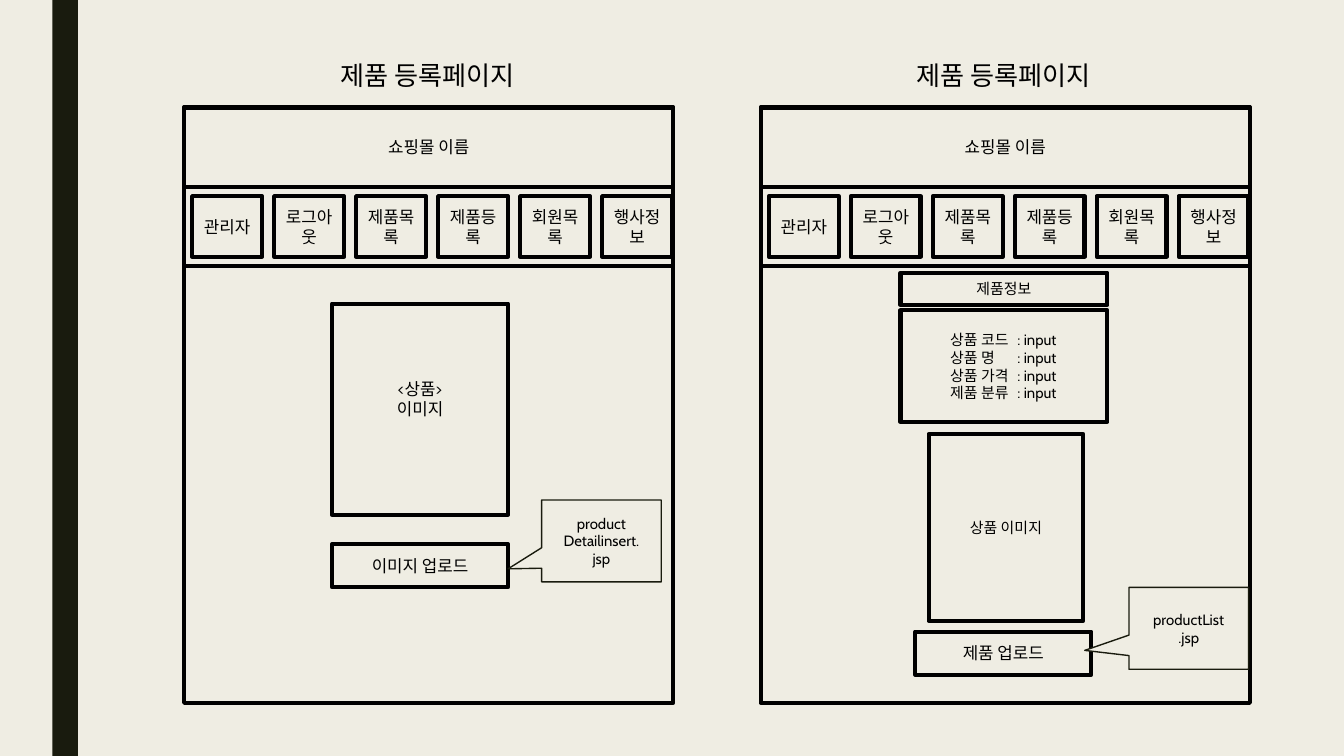
from pptx import Presentation
from pptx.dml.color import RGBColor
from pptx.enum.shapes import MSO_SHAPE
from pptx.enum.text import MSO_ANCHOR, MSO_AUTO_SIZE, PP_ALIGN
from pptx.oxml import parse_xml
from pptx.oxml.ns import nsdecls
from pptx.util import Inches, Pt

THEME = {
    "font": "Cabin",
    "background": RGBColor.from_string("EFEDE3"),
    "accent": RGBColor.from_string("191B0E"),
    "ink": RGBColor.from_string("000000"),
    "title": 14,
    "label": 9,
    "detail": 8,
    "frame_line": 2.25,
    "callout_line": 0.75,
}

presentation = Presentation()
presentation.slide_width = Inches(10)
presentation.slide_height = presentation.slide_width * 9 // 16
UNIT = presentation.slide_width / 100
SLIDE_ROWS = presentation.slide_height / UNIT

slide = presentation.slides.add_slide(presentation.slide_layouts[5])
slide.background.fill.solid()
slide.background.fill.fore_color.rgb = THEME["background"]


def write(shape, text, size, anchor=MSO_ANCHOR.MIDDLE, inset=(0.7, 0.4, 0.7, 0.4), align=PP_ALIGN.CENTER, tab=None):
    frame = shape.text_frame
    frame.text = text
    left, top, right, bottom = (round(value * UNIT) for value in inset)
    frame_format = {
        "word_wrap": True, "auto_size": MSO_AUTO_SIZE.NONE, "vertical_anchor": anchor,
        "margin_left": left, "margin_top": top, "margin_right": right, "margin_bottom": bottom,
    }
    for name, value in frame_format.items():
        setattr(frame, name, value)
    for paragraph in frame.paragraphs:
        paragraph.alignment = align
        if tab:
            stops = f'<a:tabLst {nsdecls("a")}><a:tab pos="{round(tab * UNIT)}" algn="l"/></a:tabLst>'
            paragraph._p.get_or_add_pPr().append(parse_xml(stops))
        paragraph.font.size = Pt(size)
        paragraph.font.name = THEME["font"]
        paragraph.font.color.rgb = THEME["ink"]


def draw(column, row, width, height, kind=MSO_SHAPE.RECTANGLE, fill=None, line="ink", weight="frame_line"):
    shape = slide.shapes.add_shape(kind, *(round(value * UNIT) for value in (column, row, width, height)))
    shape.shadow.inherit = False
    if fill:
        shape.fill.solid()
        shape.fill.fore_color.rgb = THEME[fill]
    else:
        shape.fill.background()
    if line:
        shape.line.color.rgb = THEME[line]
        shape.line.width = Pt(THEME[weight])
    else:
        shape.line.fill.background()
    return shape


draw(3.9, 0, 1.9, SLIDE_ROWS, fill="accent", line=None)

PAGE_WIDTH, PAGE_HEIGHT, PAGE_TOP = 36.4, 44.3, 8
BAND_HEIGHT = 5.9
MENU = ["관리자", "로그아웃", "제품목록", "제품등록", "회원목록", "행사정보"]
MENU_START, MENU_STEP = 0.6, 6.1

title = slide.shapes.title
second_title = slide.shapes.add_textbox(0, 0, 0, 0)
for heading, page_left in ((title, 13.7), (second_title, 56.6)):
    place = {"left": page_left - 0.1, "top": 4, "width": PAGE_WIDTH, "height": 3}
    for name, value in place.items():
        setattr(heading, name, round(value * UNIT))
    write(heading, "제품 등록페이지", THEME["title"], MSO_ANCHOR.TOP)

    draw(page_left, PAGE_TOP, PAGE_WIDTH, PAGE_HEIGHT)
    write(draw(page_left, PAGE_TOP, PAGE_WIDTH, BAND_HEIGHT), "쇼핑몰 이름", THEME["label"])
    draw(page_left, PAGE_TOP + BAND_HEIGHT, PAGE_WIDTH, BAND_HEIGHT)
    for index, item in enumerate(MENU):
        button = draw(page_left + MENU_START + index * MENU_STEP, 14.6, 5.2, 4.5)
        write(button, item, THEME["label"])

boxes = [
    (24.7, 40.5, 13.1, 3.2, "이미지 업로드", "label"),
    (68.1, 47, 13.1, 3.2, "제품 업로드", "label"),
    (69.1, 32.3, 11.5, 13.9, "상품 이미지", "detail"),
    (67, 20.3, 15.4, 2.4, "제품정보", "detail"),
]
for column, row, width, height, text, size in boxes:
    write(draw(column, row, width, height), text, THEME[size])

product_image = draw(24.7, 22.6, 13.1, 15.7)
write(product_image, "<상품>\n이미지", THEME["label"], inset=(0.7, 0.4, 0.7, 1.9))

product_fields = draw(67, 23.1, 15.4, 8.3)
fields = ["상품 코드", "상품 명", "상품 가격", "제품 분류"]
write(product_fields, "\n".join(f"{field}\t: input" for field in fields), THEME["detail"],
      inset=(3.7, 0.4, 0.7, 0.4), align=PP_ALIGN.LEFT, tab=5)

callouts = [
    (84, 43.7, "productList\n.jsp", (-0.87, 0.27)),
    (40.3, 37.2, "product\nDetailinsert.\njsp", (-0.78, 0.34)),
]
for column, row, text, tip in callouts:
    callout = draw(column, row, 8.9, 6.1, MSO_SHAPE.RECTANGULAR_CALLOUT, "background", "accent", "callout_line")
    for index, value in enumerate(tip):
        callout.adjustments[index] = value
    write(callout, text, THEME["detail"], inset=(1, 1, 1, 1))

presentation.save("out.pptx")
